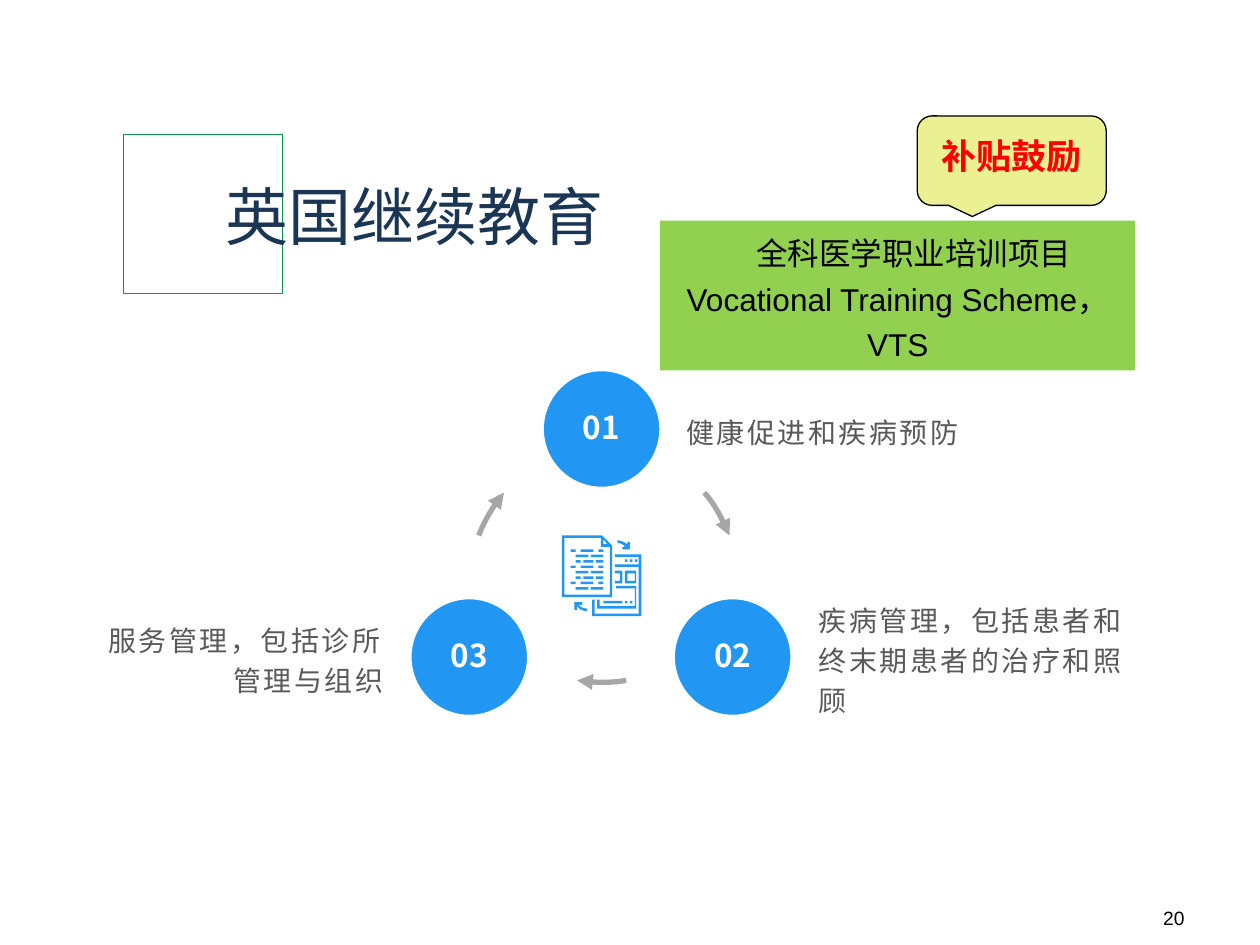
import itertools
from dataclasses import dataclass
from typing import NamedTuple, Optional

import pptx
import pptx.dml.color
import pptx.enum.shapes
import pptx.enum.text
import pptx.oxml
import pptx.oxml.ns
import pptx.util

Inches = pptx.util.Inches
Align = pptx.enum.text.PP_ALIGN
Anchor = pptx.enum.text.MSO_ANCHOR
Preset = pptx.enum.shapes.MSO_SHAPE


@dataclass(frozen=True)
class Theme:
    blue: str = "2196F3"
    navy: str = "1B3655"
    frame: str = "0E9651"
    green: str = "92D050"
    yellow: str = "EBF092"
    red: str = "FF0000"
    grey: str = "595959"
    arrow: str = "A6A6A6"
    white: str = "FFFFFF"
    black: str = "000000"
    latin: str = "Arial"
    chinese: str = "Noto Sans CJK SC"
    title_size: int = 36
    callout_size: int = 20
    body_size: int = 18
    label_size: int = 16
    page_size: int = 11


THEME = Theme()


class Area(NamedTuple):
    left: float
    top: float
    width: float
    height: float


class Style(NamedTuple):
    size: int
    color: str
    font: str = THEME.latin
    bold: bool = False
    align: Align = Align.LEFT
    anchor: Anchor = Anchor.TOP
    line_spacing: float = 1.0
    tracking: float = 0
    indent: float = 0
    inset: Optional[float] = None


class Stage(NamedTuple):
    number: str
    circle: Area
    text: str
    label: Area
    align: Align


CIRCLE = 0.93
STAGES = [
    Stage("01", Area(4.31, 2.94, CIRCLE, CIRCLE), "健康促进和疾病预防",
          Area(5.35, 2.97, 2.78, 0.87), Align.LEFT),
    Stage("02", Area(5.35, 4.75, CIRCLE, CIRCLE), "疾病管理，包括患者和终末期患者的治疗和照顾",
          Area(6.4, 4.78, 2.78, 0.87), Align.LEFT),
    Stage("03", Area(3.26, 4.75, CIRCLE, CIRCLE), "服务管理，包括诊所管理与组织",
          Area(0.59, 4.78, 2.55, 0.87), Align.RIGHT),
]
ARROWS = [
    [(5.59, 3.91), (5.7, 4.03), (5.76, 4.19), (5.79, 4.25)],
    [(4.97, 5.4), (4.81, 5.43), (4.64, 5.41), (4.58, 5.4)],
    [(3.8, 4.25), (3.86, 4.09), (3.96, 3.96), (4, 3.91)],
]
PAGE_LINES = [
    [(4.53, 4.57), (4.61, 4.71), (4.75, 4.79)],
    [(4.57, 4.67), (4.69, 4.79)],
    [(4.57, 4.61), (4.63, 4.71), (4.73, 4.79)],
]
STROKE = 0.02


def paint(shape, fill: Optional[str], line: Optional[str], width: float = 1) -> None:
    shape.shadow.inherit = False
    if fill:
        shape.fill.solid()
        shape.fill.fore_color.rgb = pptx.dml.color.RGBColor.from_string(fill)
    else:
        shape.fill.background()
    if line:
        shape.line.color.rgb = pptx.dml.color.RGBColor.from_string(line)
        shape.line.width = pptx.util.Pt(width)
    else:
        shape.line.fill.background()


def write(shape, text: str, style: Style) -> None:
    frame = shape.text_frame
    frame.word_wrap = True
    frame.vertical_anchor = style.anchor
    if style.inset is not None:
        frame.margin_left = frame.margin_right = Inches(style.inset)
        frame.margin_top = frame.margin_bottom = Inches(style.inset)
    para = frame.paragraphs[0]
    para.alignment = style.align
    para.line_spacing = style.line_spacing
    if style.indent:
        para._p.get_or_add_pPr().set("indent", str(Inches(style.indent)))
    span = para.add_run()
    span.text = text
    span.font.name = style.font
    span.font.size = pptx.util.Pt(style.size)
    span.font.bold = style.bold
    span.font.color.rgb = pptx.dml.color.RGBColor.from_string(style.color)
    properties = span._r.get_or_add_rPr()
    if style.tracking:
        properties.set("spc", str(int(style.tracking * 100)))
    east_asian = pptx.oxml.parse_xml(
        f'<a:ea {pptx.oxml.ns.nsdecls("a")} typeface="{THEME.chinese}"/>')
    properties.find(pptx.oxml.ns.qn("a:latin")).addnext(east_asian)


def add_box(page, preset: Preset, area: Area, fill: Optional[str],
            line: Optional[str], width: float = 1):
    box = page.shapes.add_shape(preset, *map(Inches, area))
    paint(box, fill, line, width)
    return box


def add_text(page, area: Area, text: str, style: Style) -> None:
    write(page.shapes.add_textbox(*map(Inches, area)), text, style)


def curve(points: list, steps: int = 12) -> list:
    def at(t: float) -> tuple:
        weights = ((1 - t) ** 3, 3 * t * (1 - t) ** 2, 3 * t * t * (1 - t), t ** 3)
        return tuple(sum(w * p[axis] for w, p in zip(weights, points)) for axis in (0, 1))
    return [at(step / steps) for step in range(steps + 1)]


def rectangle(left: float, top: float, right: float, bottom: float) -> list:
    return [(left, top), (right, top), (right, bottom), (left, bottom)]


def add_outline(page, contours: list, closed: bool):
    builder = None
    for contour in contours:
        points = [(Inches(x), Inches(y)) for x, y in contour]
        if builder is None:
            builder = page.shapes.build_freeform(*points[0])
        else:
            builder.move_to(*points[0])
        builder.add_line_segments(points[1:], close=closed)
    return builder.convert_to_shape()


def add_arrow(page, points: list) -> None:
    arrow = add_outline(page, [curve(points)], False)
    paint(arrow, None, THEME.arrow, 3)
    arrow.line._get_or_add_ln().append(pptx.oxml.parse_xml(
        f'<a:tailEnd {pptx.oxml.ns.nsdecls("a")} type="triangle"/>'))


def add_document_icon(page) -> None:
    contours = [
        [(4.46, 4.25), (4.78, 4.25), (4.86, 4.33), (4.86, 4.74), (4.46, 4.74)],
        [(4.48, 4.27), (4.48, 4.72), (4.84, 4.72), (4.84, 4.34), (4.77, 4.34), (4.77, 4.27)],
        [(4.79, 4.28), (4.79, 4.32), (4.82, 4.32)],
        [(4.88, 4.4), (5.09, 4.4), (5.09, 4.89), (4.7, 4.89), (4.7, 4.76), (4.72, 4.76),
         (4.72, 4.87), (5.07, 4.87), (5.07, 4.5), (4.88, 4.5), (4.88, 4.48), (5.07, 4.48),
         (5.07, 4.42), (4.88, 4.42)],
        [(4.89, 4.65), (5.05, 4.65), (5.05, 4.83), (4.74, 4.83), (4.74, 4.76), (4.76, 4.76),
         (4.76, 4.81), (5.04, 4.81), (5.04, 4.67), (4.89, 4.67)],
        [(4.88, 4.53), (4.94, 4.53), (4.94, 4.63), (4.88, 4.63), (4.88, 4.61), (4.92, 4.61),
         (4.92, 4.55), (4.88, 4.55)],
        rectangle(4.96, 4.53, 5.05, 4.63),
        rectangle(4.98, 4.55, 5.04, 4.61),
        rectangle(4.79, 4.77, 4.94, 4.79),
        [(4.56, 4.78), (4.62, 4.78), (4.62, 4.8)]
        + curve([(4.59, 4.8), (4.61, 4.82), (4.63, 4.83), (4.66, 4.83)])
        + curve([(4.66, 4.85), (4.63, 4.85), (4.6, 4.84), (4.58, 4.81)])
        + [(4.58, 4.84), (4.56, 4.84)],
        curve([(4.9, 4.29), (4.93, 4.29), (4.95, 4.3), (4.98, 4.32)])
        + [(4.98, 4.3), (5, 4.3), (5, 4.36), (4.94, 4.36), (4.94, 4.34)]
        + curve([(4.96, 4.34), (4.95, 4.32), (4.92, 4.31), (4.9, 4.31)]),
    ]
    dots = [(4.96, 4.44), (5, 4.44), (5.04, 4.44), (4.96, 4.77), (5, 4.77)]
    contours += [rectangle(x, y, x + STROKE, y + STROKE) for x, y in dots]
    for row, dashes in enumerate(itertools.islice(itertools.cycle(PAGE_LINES), 8)):
        top = 4.36 + row * 0.3 / 7
        contours += [rectangle(left, top, right, top + STROKE) for left, right in dashes]
    paint(add_outline(page, contours, True), THEME.blue, None)


def main() -> None:
    deck = pptx.Presentation()
    deck.slide_width, deck.slide_height = Inches(10), Inches(7.5)
    page = deck.slides.add_slide(deck.slide_layouts[6])

    add_box(page, Preset.RECTANGLE, Area(0.98, 1.07, 1.26, 1.26), None, THEME.frame, 0.5)
    add_text(page, Area(1.69, 1.27, 3.5, 0.79), "英国继续教育",
             Style(THEME.title_size, THEME.navy, anchor=Anchor.BOTTOM))
    add_text(page, Area(7.17, 7.14, 2.33, 0.28), "20",
             Style(THEME.page_size, THEME.black, align=Align.RIGHT))

    number_style = Style(THEME.body_size, THEME.white, THEME.chinese, True, Align.CENTER,
                         Anchor.MIDDLE, 0.9, inset=0)
    for stage in STAGES:
        circle = add_box(page, Preset.OVAL, stage.circle, THEME.blue, THEME.white)
        write(circle, stage.number, number_style)
        add_text(page, stage.label, stage.text,
                 Style(THEME.label_size, THEME.grey, THEME.chinese, align=stage.align,
                       anchor=Anchor.MIDDLE, line_spacing=1.2, tracking=1.5))
    for points in ARROWS:
        add_arrow(page, points)
    add_document_icon(page)

    scheme = add_box(page, Preset.RECTANGLE, Area(5.24, 1.75, 3.77, 1.19), THEME.green, None)
    write(scheme, "全科医学职业培训项目Vocational Training Scheme，VTS",
          Style(THEME.body_size, THEME.black, align=Align.CENTER, line_spacing=1.2, indent=0.25))
    callout = add_box(page, Preset.ROUNDED_RECTANGULAR_CALLOUT, Area(7.28, 0.92, 1.5, 0.71),
                      THEME.yellow, THEME.black, 0.75)
    write(callout, "补贴鼓励", Style(THEME.callout_size, THEME.red, THEME.chinese, True,
                                 Align.CENTER, line_spacing=1.2))
    deck.save("out.pptx")


if __name__ == "__main__":
    main()
